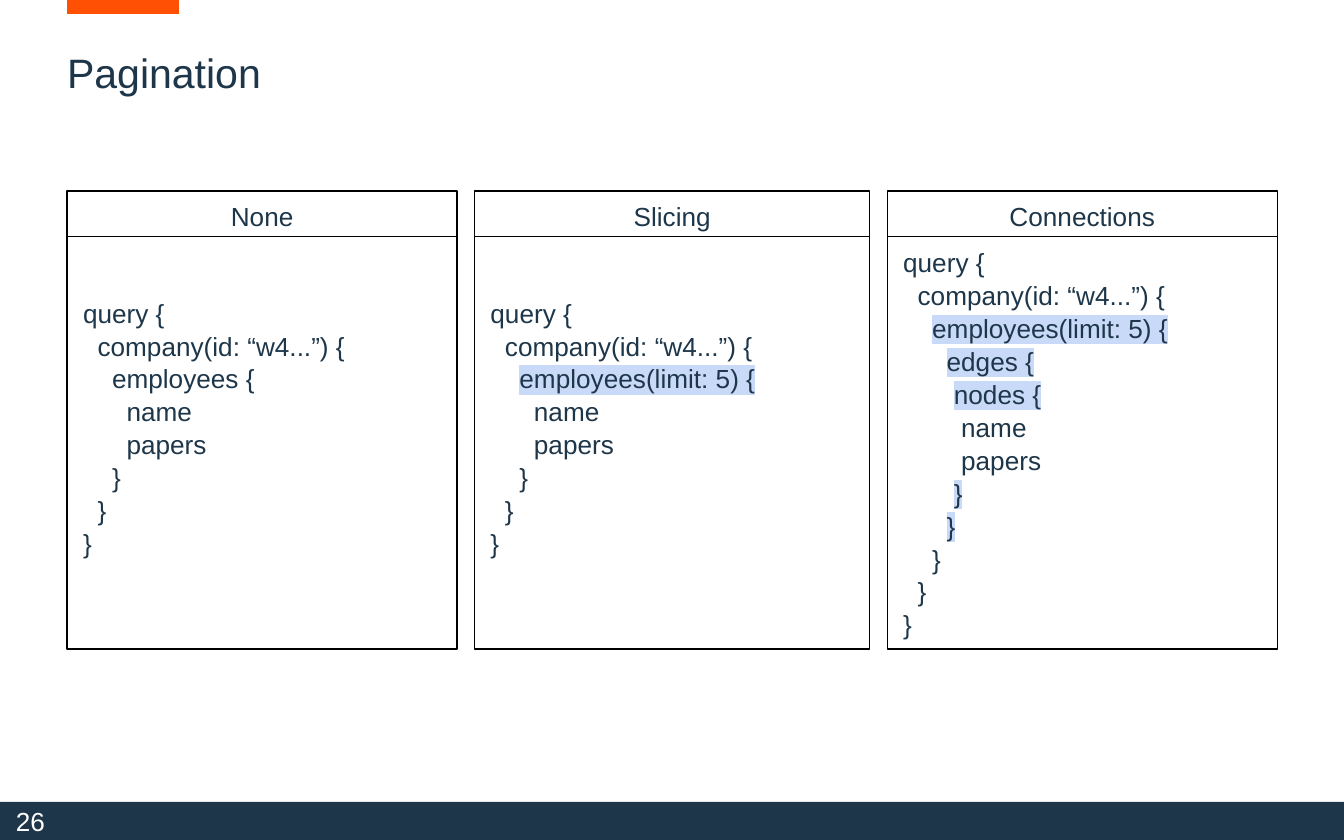
from pptx import Presentation
from pptx.dml.color import RGBColor
from pptx.enum.shapes import MSO_CONNECTOR, MSO_SHAPE
from pptx.enum.text import MSO_ANCHOR, PP_ALIGN
from pptx.oxml.ns import qn
from pptx.util import Cm, Pt
from lxml import etree

RECT = MSO_SHAPE.RECTANGLE
LINE = MSO_CONNECTOR.STRAIGHT
TOP, MIDDLE = MSO_ANCHOR.TOP, MSO_ANCHOR.MIDDLE
LEFT, CENTER = PP_ALIGN.LEFT, PP_ALIGN.CENTER

NAVY = RGBColor(0x1D, 0x36, 0x49)
ORANGE = RGBColor(0xFF, 0x50, 0x04)
BLACK = RGBColor(0, 0, 0)
WHITE = RGBColor(0xFF, 0xFF, 0xFF)
MARK = RGBColor(0xC9, 0xDA, 0xF8)

MARGIN, GAP = 1.27, 0.33
HEAD_TOP, HEAD_HIGH = 3.61, 0.86
CODE_TOP, CODE_HIGH = HEAD_TOP + HEAD_HIGH, 7.8
PAD = 0.15
SPACE = 0.137  # width of one space at 14 pt

# Heading, width, bottom inset and code; a leading "*" marks highlighted code.
PANELS = [
    ("None", 7.37, 0.74, """query {
  company(id: “w4...”) {
    employees {
      name
      papers
    }
  }
}"""),
    ("Slicing", 7.47, 0.74, """query {
  company(id: “w4...”) {
    *employees(limit: 5) {
      name
      papers
    }
  }
}"""),
    ("Connections", 7.37, PAD, """query {
  company(id: “w4...”) {
    *employees(limit: 5) {
      *edges {
       *nodes {
        name
        papers
       *}
      *}
    }
  }
}"""),
]


class Deck:
    font = "Arial"
    size = 14

    def __init__(self, slide):
        self.slide = slide

    def style(self, para, size, color, align=LEFT, gap=1.0):
        para.alignment = align
        para.line_spacing = gap
        for run in para.runs:
            run.font.size = Pt(size)
            run.font.name = self.font
            run.font.color.rgb = color

    def frame(self, shape, anchor, pad=0, base=0):
        """Set the anchor and the top and bottom insets of a text frame."""
        frame = shape.text_frame
        frame.word_wrap = True
        frame.vertical_anchor = anchor
        frame.margin_left = frame.margin_right = 0
        frame.margin_top, frame.margin_bottom = Cm(pad), Cm(base)
        return frame

    def text(self, words, x, y, w, h, size, color, gap, anchor=TOP):
        box = self.slide.shapes.add_textbox(Cm(x), Cm(y), Cm(w), Cm(h))
        frame = self.frame(box, anchor)
        frame.text = words
        self.style(frame.paragraphs[0], size, color, gap=gap)

    def box(self, x, y, w, h, fill=None):
        """Draw a filled bar, or a thin black outline if no fill is given."""
        shape = self.slide.shapes.add_shape(RECT, Cm(x), Cm(y), Cm(w), Cm(h))
        shape.shadow.inherit = False
        if fill is None:
            shape.fill.background()
            shape.line.color.rgb = BLACK
            shape.line.width = Pt(0.75)
        else:
            shape.fill.solid()
            shape.fill.fore_color.rgb = fill
            shape.line.fill.background()
        return shape

    def line(self, x, y, end, color, width):
        line = self.slide.shapes.add_connector(LINE, Cm(x), Cm(y), Cm(end), Cm(y))
        line.line.color.rgb = color
        line.line.width = Pt(width)
        etree.SubElement(line._element.spPr, qn("a:effectLst"))

    def head(self, words, x, w):
        frame = self.frame(self.box(x, HEAD_TOP, w, HEAD_HIGH), TOP, PAD, PAD)
        frame.text = words
        self.style(frame.paragraphs[0], self.size, NAVY, CENTER, 1.05)

    def mark(self, run):
        """Highlight a run whose colour is already set."""
        tag = etree.Element(qn("a:highlight"))
        etree.SubElement(tag, qn("a:srgbClr"), val=str(MARK))
        run.font._element.find(qn("a:solidFill")).addnext(tag)

    def code(self, words, x, w, base):
        frame = self.frame(self.box(x, CODE_TOP, w, CODE_HIGH), MIDDLE, PAD, base)
        rows = words.split("\n")
        frame.text = "\n".join(row.strip(" *") for row in rows)
        for para, row in zip(frame.paragraphs, rows):
            self.style(para, self.size, NAVY, gap=1.05)
            depth = len(row) - len(row.lstrip())
            props = para._p.get_or_add_pPr()
            props.set("marL", str(Cm(0.3 + depth * SPACE)))
            props.set("indent", "0")
            if row.lstrip().startswith("*"):
                self.mark(para.runs[0])


def main():
    show = Presentation()
    show.slide_width, show.slide_height = Cm(25.4), Cm(15.88)
    deck = Deck(show.slides.add_slide(show.slide_layouts[6]))

    deck.line(MARGIN, 0.13, 3.38, ORANGE, 8)
    deck.box(0, 15.16, 25.4, 0.72, NAVY)
    deck.text("26", 0.3, 15.21, 4.85, 0.71, 14, WHITE, 0.9, MIDDLE)
    deck.text("Pagination", MARGIN, 0.64, 22.86, 0.97, 22, NAVY, 1.28)

    x = MARGIN
    for name, width, base, code in PANELS:
        deck.code(code, x, width, base)
        deck.head(name, x, width)
        x += width + GAP

    show.save("out.pptx")


if __name__ == "__main__":
    main()
